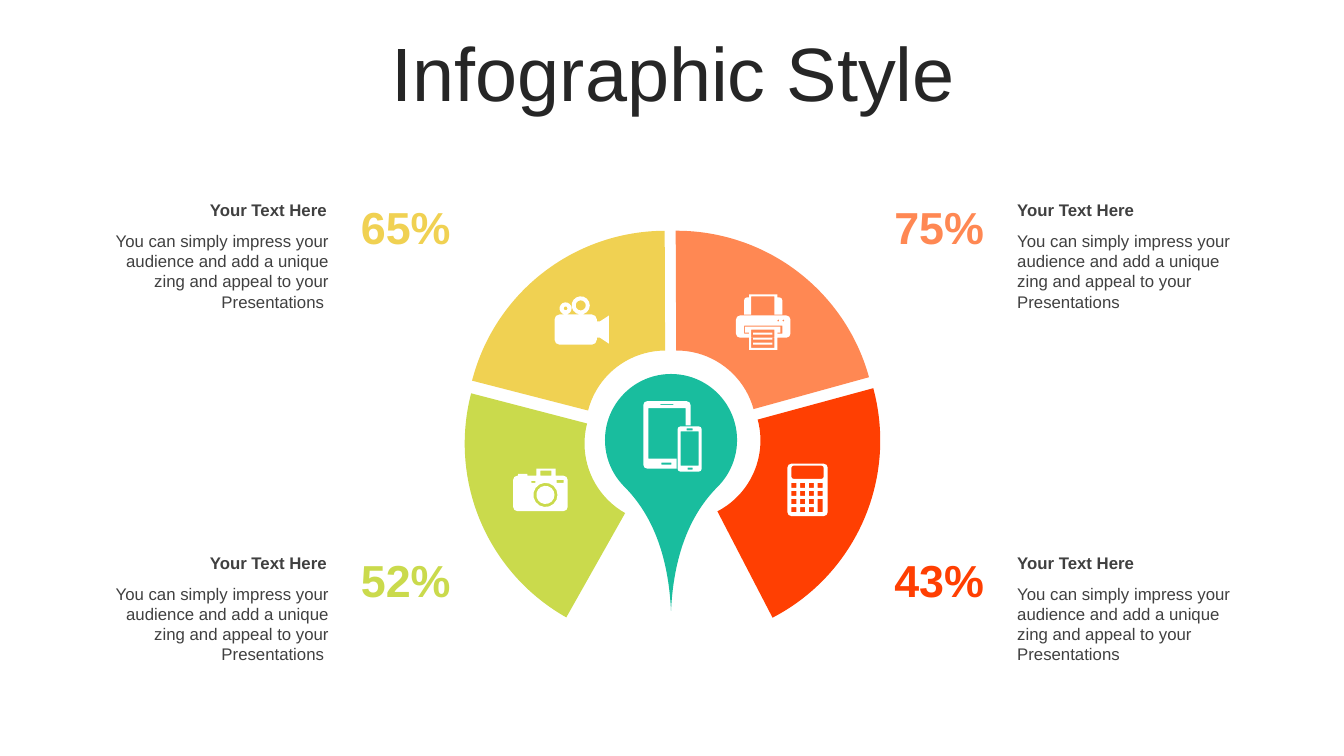
from dataclasses import dataclass
from math import cos, radians, sin

from lxml.etree import SubElement
from pptx import Presentation
from pptx.dml.color import RGBColor
from pptx.enum.shapes import MSO_SHAPE
from pptx.enum.text import MSO_ANCHOR, MSO_AUTO_SIZE, PP_ALIGN
from pptx.oxml.ns import qn
from pptx.util import Inches, Pt

FONT = "Arial"
YELLOW, CORAL, RED, LIME = "F0D152", "FF8853", "FF3F02", "CADA4C"
TEAL, WHITE, DARK, GREY = "19BD9E", "FFFFFF", "262626", "404040"
MESSAGE = ("You can simply impress your audience and add a unique "
           "zing and appeal to your Presentations")

Point = tuple[float, float]
Contour = list[Point]


@dataclass
class Segment:
    left: float
    top: float
    rotation: float
    start: float
    end: float
    color: str


@dataclass
class Callout:
    percent: str
    color: str
    on_left: bool
    top: float


SEGMENTS = [
    Segment(4.62, 2.29, 0, 116.65, 161.88, YELLOW),
    Segment(4.73, 2.29, 75, 116.85, 161.74, CORAL),
    Segment(4.77, 2.39, 153, 115.08, 161.74, RED),
    Segment(4.61, 2.42, 285, 116.65, 161.74, LIME),
]
CALLOUTS = [
    Callout("75%", CORAL, False, 1.93),
    Callout("43%", RED, False, 5.43),
    Callout("65%", YELLOW, True, 1.93),
    Callout("52%", LIME, True, 5.43),
]


def rgb(color: str) -> RGBColor:
    return RGBColor.from_string(color)


def paint(shape, color: str) -> None:
    shape.fill.solid()
    shape.fill.fore_color.rgb = rgb(color)
    shape.line.fill.background()
    shape.shadow.inherit = False


def add_preset(shapes, preset, left: float, top: float, size: float,
               rotation: float, adjustments: list[float], color: str) -> None:
    shape = shapes.add_shape(preset, Inches(left), Inches(top), Inches(size), Inches(size))
    shape.rotation = rotation
    for index, value in enumerate(adjustments):
        shape.adjustments[index] = value
    paint(shape, color)


def add_run(paragraph, text: str, size: float, color: str, bold: bool = False):
    run = paragraph.add_run()
    run.text = text
    run.font.name = FONT
    run.font.size = Pt(size)
    run.font.bold = bold
    run.font.color.rgb = rgb(color)
    return run


def add_text(shapes, bounds: tuple[float, float, float, float], text: str, size: float,
             color: str, alignment: PP_ALIGN, bold: bool = False):
    shape = shapes.add_textbox(*map(Inches, bounds))
    frame = shape.text_frame
    frame.word_wrap = True
    frame.auto_size = MSO_AUTO_SIZE.SHAPE_TO_FIT_TEXT
    frame.paragraphs[0].alignment = alignment
    return add_run(frame.paragraphs[0], text, size, color, bold)


def outline_text(run, color: str) -> None:
    properties = run._r.get_or_add_rPr()
    line = SubElement(properties, qn("a:ln"), w=str(Pt(1)))
    fill = SubElement(line, qn("a:solidFill"))
    SubElement(fill, qn("a:srgbClr"), val=color)
    properties.insert(0, line)


def arc(x: float, y: float, radius: float, start: int, sweep: int = 90,
        step: int = 45) -> Contour:
    angles = [radians(angle) for angle in range(start, start + sweep + 1, step)]
    return [(x + radius * cos(angle), y + radius * sin(angle)) for angle in angles]


def circle(x: float, y: float, radius: float) -> Contour:
    step = 24 if radius > 0.04 else 60
    return arc(x, y, radius, 0, 360 - step, step)


def box(left: float, top: float, right: float, bottom: float, radius: float = 0) -> Contour:
    if not radius:
        return [(left, top), (right, top), (right, bottom), (left, bottom)]
    return (arc(left + radius, top + radius, radius, 180)
            + arc(right - radius, top + radius, radius, 270)
            + arc(right - radius, bottom - radius, radius, 0)
            + arc(left + radius, bottom - radius, radius, 90))


def add_icon(shapes, contours: list[Contour]) -> None:
    """Draw contours as one white shape; nested contours become holes."""
    paths = [[(Inches(x), Inches(y)) for x, y in contour] for contour in contours]
    builder = shapes.build_freeform(*paths[0][0], scale=1.0)
    for index, points in enumerate(paths):
        if index:
            builder.move_to(*points[0])
        builder.add_line_segments(points[1:], close=True)
    paint(builder.convert_to_shape(), WHITE)


def devices() -> list[Contour]:
    tablet = (arc(6.42, 4.02, 0.04, 180) + arc(6.81, 4.02, 0.04, 270)
              + [(6.85, 4.22), (6.8, 4.22), (6.8, 4.05), (6.43, 4.05),
                 (6.43, 4.55), (6.71, 4.55), (6.71, 4.65)]
              + arc(6.42, 4.61, 0.04, 90))
    return [tablet, box(6.55, 4.01, 6.68, 4.02), box(6.56, 4.59, 6.66, 4.61),
            box(6.72, 4.23, 6.96, 4.68, 0.03), box(6.75, 4.28, 6.93, 4.62),
            box(6.81, 4.25, 6.87, 4.27), box(6.82, 4.64, 6.87, 4.66)]


def calculator() -> list[Contour]:
    contours = [box(7.81, 4.6, 8.21, 5.12, 0.04), box(7.85, 4.62, 8.17, 4.75, 0.02)]
    for column in range(4):
        left = 7.85 + column * 0.26 / 3
        row_count = 3 if column == 3 else 4
        for row in range(row_count):
            top = 4.79 + row * 0.08
            height = 0.13 if (column, row) == (3, 2) else 0.05
            contours.append(box(left, top, left + 0.05, top + height))
    return contours


def printer() -> list[Contour]:
    slot = [(7.38, 3.23), (7.76, 3.23), (7.76, 3.31), (7.71, 3.31), (7.71, 3.3), (7.74, 3.3),
            (7.74, 3.24), (7.39, 3.24), (7.39, 3.3), (7.43, 3.3), (7.43, 3.31), (7.38, 3.31)]
    feeder = (arc(7.41, 2.98, 0.03, 180)
              + [(7.43, 2.95), (7.43, 2.92), (7.71, 2.92), (7.71, 2.95)]
              + arc(7.73, 2.98, 0.03, 270)
              + [(7.76, 3.12), (7.68, 3.12), (7.68, 2.94), (7.45, 2.94),
                 (7.45, 3.12), (7.38, 3.12)])
    text_lines = [box(7.47, top, 7.66, top + 0.02) for top in (3.3, 3.35, 3.4)]
    return [feeder, box(7.3, 3.13, 7.84, 3.35, 0.04), box(7.43, 3.35, 7.71, 3.47), slot,
            box(7.45, 3.27, 7.68, 3.45), *text_lines,
            circle(7.72, 3.18, 0.01), circle(7.77, 3.18, 0.01)]


def camera() -> list[Contour]:
    return [box(5.09, 4.72, 5.63, 5.07, 0.04), box(5.14, 4.7, 5.23, 4.72),
            box(5.32, 4.65, 5.51, 4.72), box(5.36, 4.67, 5.47, 4.72),
            box(5.27, 4.77, 5.31, 4.79), box(5.52, 4.76, 5.59, 4.79),
            circle(5.41, 4.91, 0.12), circle(5.41, 4.91, 0.09)]


def video_camera() -> list[Contour]:
    lens = [(5.92, 3.19), (5.95, 3.19), (6.04, 3.13), (6.04, 3.41), (5.95, 3.35), (5.92, 3.35)]
    return [box(5.5, 3.12, 5.92, 3.42, 0.05), lens,
            circle(5.76, 3.03, 0.09), circle(5.76, 3.03, 0.05),
            circle(5.61, 3.06, 0.06), circle(5.61, 3.06, 0.02)]


def add_callout(shapes, callout: Callout) -> None:
    left, top = (0.97 if callout.on_left else 9.99), callout.top
    alignment = PP_ALIGN.RIGHT if callout.on_left else PP_ALIGN.LEFT
    message = MESSAGE + " " if callout.on_left else MESSAGE
    group = shapes.add_group_shape().shapes
    add_text(group, (left, top + 0.31, 2.39, 0.91), message, 12, GREY, alignment)
    add_text(group, (left, top, 2.37, 0.3), "Your Text Here", 12, GREY, alignment, True)
    percent_left = 3.46 if callout.on_left else 8.75
    percent = add_text(shapes, (percent_left, top, 1.13, 0.64), callout.percent, 32,
                       callout.color, PP_ALIGN.CENTER, True)
    outline_text(percent, WHITE)


def main() -> None:
    presentation = Presentation()
    presentation.slide_width, presentation.slide_height = Inches(13.33), Inches(7.5)
    slide = presentation.slides.add_slide(presentation.slide_layouts[5])
    shapes = slide.shapes

    # Title
    title = shapes.title
    title.left, title.top, title.width, title.height = map(Inches, (0.35, 0.37, 12.66, 0.79))
    title.text_frame.vertical_anchor = MSO_ANCHOR.MIDDLE
    title.text_frame.auto_size = MSO_AUTO_SIZE.NONE
    paragraph = title.text_frame.paragraphs[0]
    paragraph.alignment = PP_ALIGN.CENTER
    paragraph.line_spacing = 0.9
    add_run(paragraph, "Infographic Style", 54, DARK)

    # Ring and central pin
    ring = shapes.add_group_shape().shapes
    for segment in SEGMENTS:
        add_preset(ring, MSO_SHAPE.BLOCK_ARC, segment.left, segment.top, 3.96,
                   segment.rotation, [segment.start, segment.end, 0.3], segment.color)
    add_preset(shapes, MSO_SHAPE.TEAR, 6, 3.71, 1.31, 135, [1.83], TEAL)

    # Callouts
    for callout in CALLOUTS:
        add_callout(shapes, callout)

    # Icons
    for contours in (devices(), calculator(), printer(), camera(), video_camera()):
        add_icon(shapes, contours)

    presentation.save("out.pptx")


if __name__ == "__main__":
    main()
